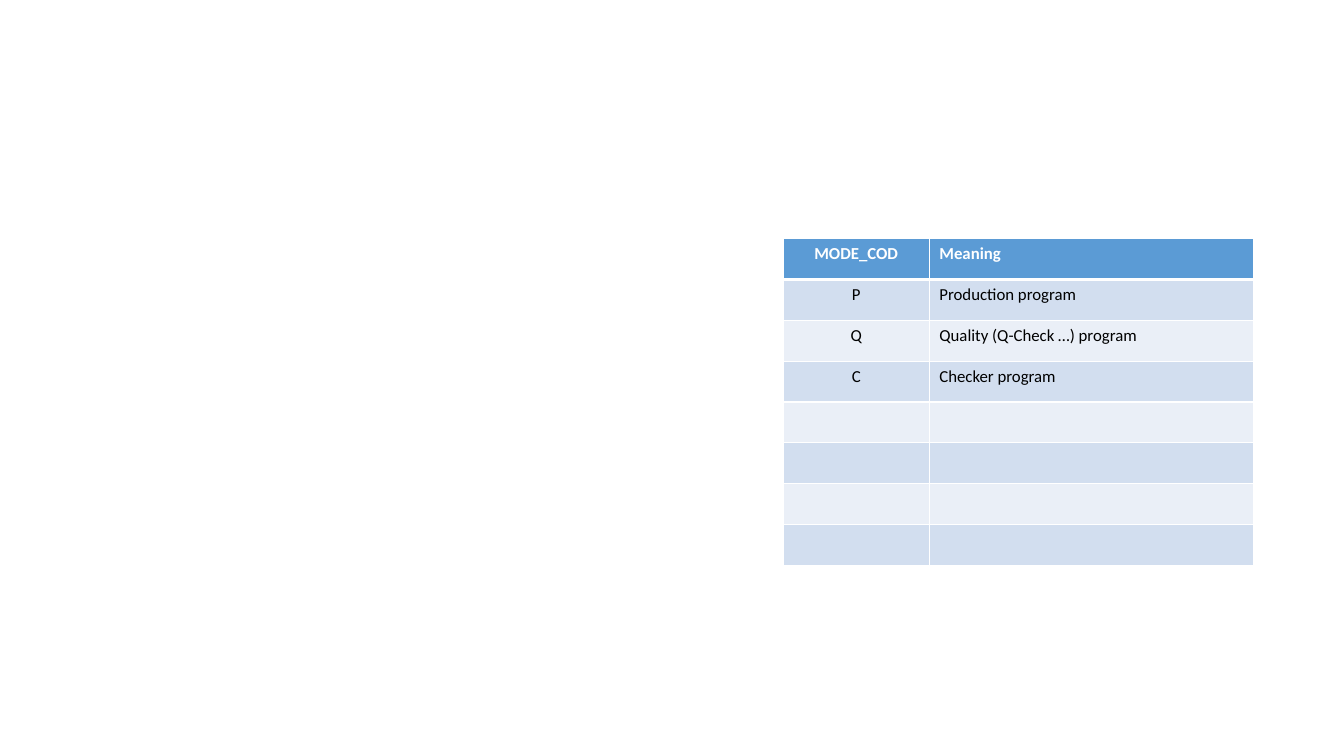
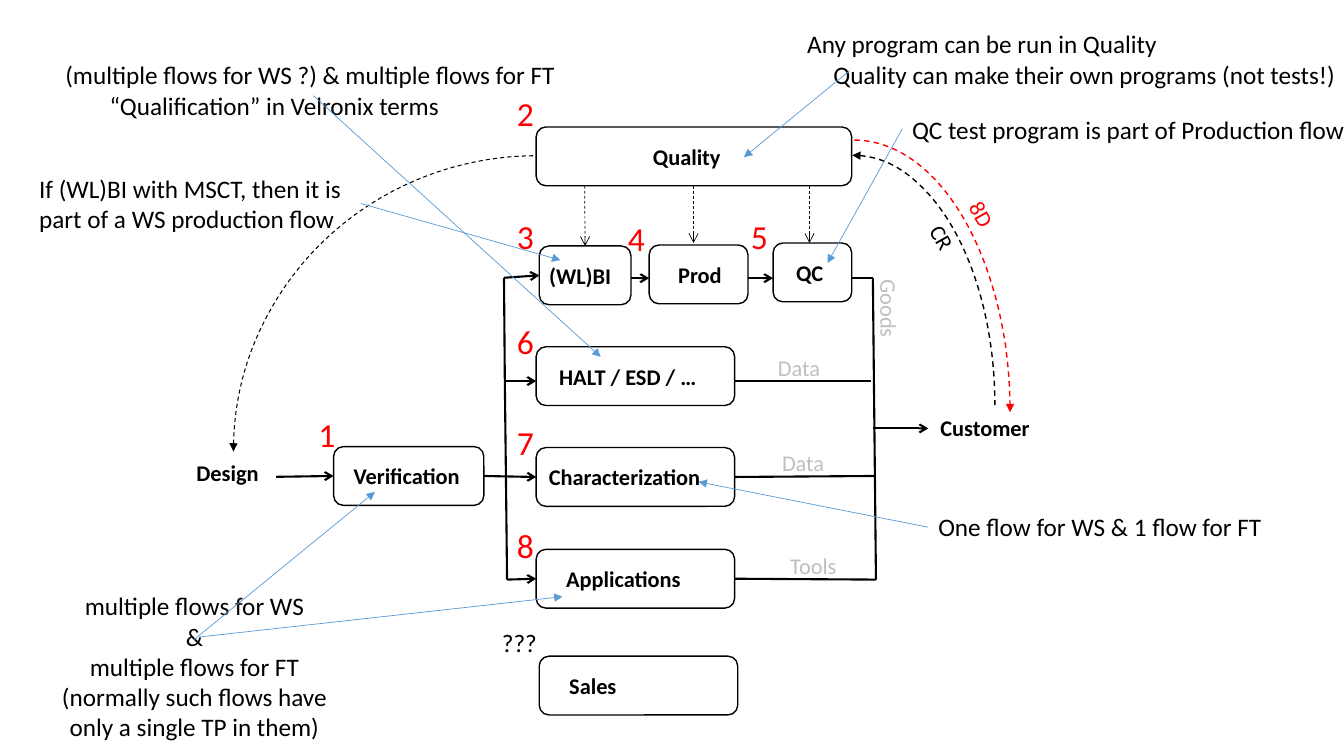
from dataclasses import dataclass
from typing import NamedTuple

from lxml.etree import SubElement
from pptx import Presentation
from pptx.dml.color import RGBColor
from pptx.enum.dml import MSO_LINE
from pptx.enum.shapes import MSO_CONNECTOR, MSO_SHAPE
from pptx.enum.text import MSO_ANCHOR, MSO_AUTO_SIZE, PP_ALIGN
from pptx.oxml.ns import qn
from pptx.util import Pt

FONT = "Calibri"
COLORS = {
    "black": "000000",
    "white": "FFFFFF",
    "red": "FF0000",
    "grey": "BFBFBF",
    "blue": "5B9BD5",
    "band_dark": "D2DEEF",
    "band_light": "EAEFF7",
}
TOP, LEFT, BOTTOM, RIGHT = range(4)
BOX_H = 42
WIDE = 141.8


class Pen(NamedTuple):
    color: str = "black"
    width: float = 1.5
    dash: bool = False
    head: str = ""
    tail: str = ""


class Box(NamedTuple):
    text: str
    x: float
    y: float
    w: float
    inset: float


class Joint(NamedTuple):
    box: str
    side: int


class Point(NamedTuple):
    x: float
    y: float


class Link(NamedTuple):
    start: Point | Joint
    end: Point | Joint
    pen: Pen


class Arc(NamedTuple):
    x: float
    y: float
    w: float
    h: float
    pen: Pen
    rotation: float = 0
    sweep: tuple[float, float] | None = None


@dataclass
class Label:
    """Free text: one string per paragraph, a newline breaks the line."""
    paragraphs: tuple[str, ...]
    x: float
    y: float
    w: float
    h: float = 26.6
    size: float = 16
    color: str = "black"
    bold: bool = False
    wrap: bool = True
    rotation: float = 0
    align: PP_ALIGN = PP_ALIGN.LEFT


def note(x: float, y: float, w: float, *paragraphs: str, h: float = 29,
         align: PP_ALIGN = PP_ALIGN.LEFT) -> Label:
    return Label(paragraphs, x, y, w, h, size=18, wrap=False, align=align)


def number(text: str, x: float, y: float) -> Label:
    return Label((text,), x, y, 28, 36, size=24, color="red", wrap=False)


WIRE = Pen()
FLOW = Pen(tail="arrow")
CHECK = Pen(width=0.5, dash=True, tail="arrow")
POINTER = Pen("blue", 0.5, tail="triangle")

MODES = [
    ("MODE_COD", "Meaning"),
    ("P", "Production program"),
    ("Q", "Quality (Q-Check …) program"),
    ("C", "Checker program"),
] + [("", "")] * 4

BOXES = [
    Box("Quality", 383, 90.7, 225.4, 81.4),
    Box("(WL)BI", 385.2, 175.7, 65.5, 5),
    Box("Prod", 463.7, 175, 70.6, 18.7),
    Box("QC", 552.2, 173.6, 56.2, 14.4),
    Box("HALT / ESD / …", 383, 247.7, WIDE, 14.4),
    Box("Characterization", 383, 319.7, WIDE, 7.2),
    Box("Verification", 238.3, 319, 107.3, 12.2),
    Box("Applications", 383, 392.4, WIDE, 19.4),
    Box("Sales", 385.2, 468.7, WIDE, 19.4),
]

FEED = [Point(360, 198.4), Point(360.6, 272.2), Point(361.4, 340.6), Point(362.2, 414)]

LINKS = [
    *(Link(a, b, WIRE) for a, b in zip(FEED, FEED[1:])),
    Link(Point(623.5, 198.7), Point(625.7, 414), WIRE),
    Link(Point(197.3, 340.6), Joint("Verification", LEFT), FLOW),
    Link(Joint("Verification", RIGHT), Joint("Characterization", LEFT), FLOW),
    Link(FEED[0], Joint("(WL)BI", LEFT), FLOW),
    Link(FEED[1], Point(383, 272.2), FLOW),
    Link(FEED[3], Joint("Applications", LEFT), FLOW),
    Link(Point(450.7, 198.7), Point(463.7, 198.7), FLOW),
    Link(Point(534.3, 198.7), Point(552.2, 198.7), FLOW),
    Link(Point(608.4, 198.7), Point(623.5, 198.7), WIRE),
    Link(Point(524.8, 272.2), Point(622.1, 272.2), WIRE),
    Link(Joint("Characterization", RIGHT), Point(625, 340), WIRE),
    Link(Joint("Applications", RIGHT), Point(625.7, 414), WIRE),
    Link(Point(623.5, 306), Point(663.1, 306), FLOW),
    Link(Point(417.6, 132.7), Joint("(WL)BI", TOP), CHECK),
    Link(Point(495.4, 132.7), Point(495.4, 173.5), CHECK),
    Link(Point(578.2, 132.7), Point(578.2, 173.5), CHECK),
    Link(Point(663.1, 376.6), Point(499, 344.2), POINTER),
    Link(Point(223.9, 68.4), Point(429.1, 254.9), POINTER),
    Link(Point(607, 50.4), Point(531.4, 112.3), POINTER),
    Link(Point(644.4, 92.2), Point(591.1, 187.9), POINTER),
    Link(Point(257.8, 145.4), Point(400.3, 185.8), POINTER),
    Link(Point(138.2, 457.2), Point(267.8, 351.4), POINTER),
    Link(Point(142.6, 455), Point(401.8, 426.2), POINTER),
]

ARCS = [
    Arc(506.9, 110.9, 203.8, 357.1, Pen(width=1, dash=True, head="triangle")),
    Arc(172.1, 105.8, 422.6, 433.4, Pen(width=0.75, dash=True, head="triangle"),
        270, (162, 215.67)),
    Arc(499, 100.1, 222.5, 388.8, Pen("red", 1, True, tail="triangle")),
]

LABELS = [
    Label(("Design",), 133.2, 324.7, 83.5, bold=True),
    Label(("Customer",), 664.6, 292.3, 95.8, bold=True),
    Label(("Data",), 551.5, 317.5, 54, color="grey"),
    Label(("Data",), 548.6, 249.1, 54, color="grey"),
    Label(("Tools",), 557.3, 391, 54, color="grey"),
    Label(("Goods",), 600.5, 213.8, 69.1, color="grey", rotation=90),
    Label(("8D",), 679.7, 149, 54, color="red", rotation=60.4),
    Label(("CR",), 651.6, 166.3, 54, rotation=60.4),
    number("1", 220.3, 292.3),
    number("2", 362.2, 62.6),
    number("3", 362.2, 150.5),
    number("4", 441.4, 151.9),
    number("5", 529.2, 150.5),
    number("6", 362.2, 225.4),
    number("7", 362.2, 298.1),
    number("8", 362.2, 371.5),
    note(663.1, 361.4, 248.4, "One flow for WS & 1 flow for FT"),
    note(39.6, 38.9, 368.6, "(multiple flows for WS ?) & multiple flows for FT"),
    note(71.3, 61.2, 261.4, "“Qualification” in Velronix terms"),
    note(569.5, 16.6, 267.1, "Any program can be run in Quality"),
    note(588.2, 38.9, 377.3, "Quality can make their own programs (not tests!)"),
    note(644.4, 77.8, 326.9, "QC test program is part of Production flow"),
    note(20.9, 120.2, 236.9,
         "If (WL)BI with MSCT, then it is\npart of a WS production flow", h=51),
    note(33.8, 418.3, 210.2,
         "multiple flows for WS\n&\nmultiple flows for FT",
         "(normally such flows have\nonly a single TP in them)",
         h=116.6, align=PP_ALIGN.CENTER),
    note(351.4, 444.2, 39.6, "???"),
]


def rgb(name: str) -> RGBColor:
    return RGBColor.from_string(COLORS[name])


def add_run(p, text: str, size: float, color: str = "black", bold: bool = False) -> None:
    r = p.add_run()
    r.text = text
    r.font.name, r.font.size, r.font.bold = FONT, Pt(size), bold
    r.font.color.rgb = rgb(color)


def apply_pen(shape, pen: Pen) -> None:
    line = shape.line
    line.color.rgb = rgb(pen.color)
    line.width = Pt(pen.width)
    if pen.dash:
        line.dash_style = MSO_LINE.DASH
    ln = shape._element.spPr.find(qn("a:ln"))
    for tag, kind in (("a:headEnd", pen.head), ("a:tailEnd", pen.tail)):
        if kind:
            SubElement(ln, qn(tag), type=kind)


def draw_box(s, box: Box):
    sp = s.shapes.add_shape(MSO_SHAPE.ROUNDED_RECTANGLE,
                            Pt(box.x), Pt(box.y), Pt(box.w), Pt(BOX_H))
    sp.shadow.inherit = False
    sp.fill.solid()
    sp.fill.fore_color.rgb = rgb("white")
    apply_pen(sp, Pen(width=1))
    tf = sp.text_frame
    tf.word_wrap = True
    tf.vertical_anchor = MSO_ANCHOR.MIDDLE
    tf.margin_left, tf.margin_right = Pt(box.inset), Pt(0)
    p = tf.paragraphs[0]
    p.alignment = PP_ALIGN.LEFT
    add_run(p, box.text, 16, bold=True)
    return sp


def draw_link(s, link: Link, boxes: dict) -> None:
    """Draw a straight connector; a Joint end is glued to its box."""
    cx = s.shapes.add_connector(MSO_CONNECTOR.STRAIGHT, 0, 0, 0, 0)
    if isinstance(link.start, Joint):
        cx.begin_connect(boxes[link.start.box], link.start.side)
    else:
        cx.begin_x, cx.begin_y = Pt(link.start.x), Pt(link.start.y)
    if isinstance(link.end, Joint):
        cx.end_connect(boxes[link.end.box], link.end.side)
    else:
        cx.end_x, cx.end_y = Pt(link.end.x), Pt(link.end.y)
    apply_pen(cx, link.pen)
    SubElement(cx._element.spPr, qn("a:effectLst"))


def draw_arc(s, arc: Arc) -> None:
    sp = s.shapes.add_shape(MSO_SHAPE.ARC, Pt(arc.x), Pt(arc.y), Pt(arc.w), Pt(arc.h))
    sp.shadow.inherit = False
    sp.fill.background()
    sp.rotation = arc.rotation
    if arc.sweep:
        sp.adjustments[0], sp.adjustments[1] = arc.sweep
    apply_pen(sp, arc.pen)


def draw_label(s, label: Label) -> None:
    sp = s.shapes.add_textbox(Pt(label.x), Pt(label.y), Pt(label.w), Pt(label.h))
    sp.rotation = label.rotation
    tf = sp.text_frame
    tf.word_wrap = label.wrap
    tf.auto_size = MSO_AUTO_SIZE.SHAPE_TO_FIT_TEXT
    for i, text in enumerate(label.paragraphs):
        p = tf.add_paragraph() if i else tf.paragraphs[0]
        p.alignment = label.align
        for j, line in enumerate(text.split("\n")):
            if j:
                p.add_line_break()
            add_run(p, line, label.size, label.color, label.bold)


def set_borders(cell, top: float, bottom: float) -> None:
    tc_pr = cell._tc.get_or_add_tcPr()
    for side, width in (("L", 1), ("R", 1), ("T", top), ("B", bottom)):
        ln = SubElement(tc_pr, qn(f"a:ln{side}"), w=str(Pt(width)))
        fill = SubElement(ln, qn("a:solidFill"))
        SubElement(fill, qn("a:srgbClr"), val=COLORS["white"])


def build_mode_table(s) -> None:
    widths, row_h = (104.4, 231.8), 29.16
    table = s.shapes.add_table(len(MODES), len(widths), Pt(559.4), Pt(170.6),
                               Pt(sum(widths)), Pt(row_h * len(MODES))).table
    for column, width in zip(table.columns, widths):
        column.width = Pt(width)
    for i, row in enumerate(MODES):
        table.rows[i].height = Pt(row_h)
        band = "blue" if i == 0 else "band_dark" if i % 2 else "band_light"
        for j, text in enumerate(row):
            cell = table.cell(i, j)
            set_borders(cell, 3 if i == 1 else 1, 3 if i == 0 else 1)
            cell.fill.solid()
            cell.fill.fore_color.rgb = rgb(band)
            p = cell.text_frame.paragraphs[0]
            p.alignment = PP_ALIGN.LEFT if j else PP_ALIGN.CENTER
            if text:
                add_run(p, text, 12, "black" if i else "white", bold=i == 0)


def build_flow_chart(s) -> None:
    boxes = {box.text: draw_box(s, box) for box in BOXES}
    for arc in ARCS:
        draw_arc(s, arc)
    for label in LABELS:
        draw_label(s, label)
    for link in LINKS:
        draw_link(s, link, boxes)


def main() -> None:
    prs = Presentation()
    prs.slide_width, prs.slide_height = Pt(960), Pt(540)
    for build in (build_mode_table, build_flow_chart):
        build(prs.slides.add_slide(prs.slide_layouts[6]))
    prs.save("out.pptx")


if __name__ == "__main__":
    main()
